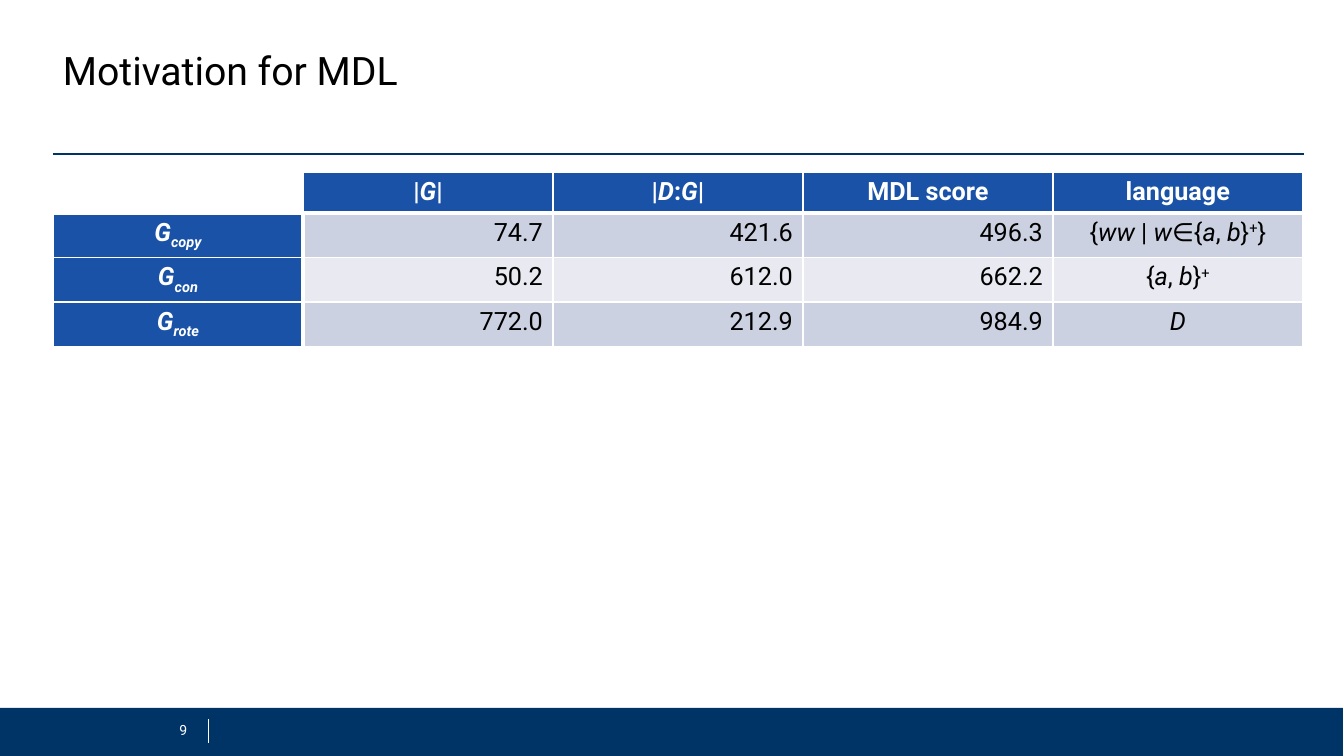
"""Builds the slide "Motivation for MDL" with its table of grammar scores."""
import pptx
import pptx.util
import pptx.dml.color
import pptx.enum.shapes
import pptx.enum.text
import pptx.oxml
import pptx.oxml.ns

PX = 914400 / 100.8
COLORS = {"navy": "003366", "blue": "1952A6", "band": "CCD1E1",
          "pale": "E8E9F1", "white": "FFFFFF", "black": "000000"}
ALIGN = pptx.enum.text.PP_ALIGN
MIDDLE = pptx.enum.text.MSO_ANCHOR.MIDDLE


def px(*lengths):
    return [round(length * PX) for length in lengths]


def write(frame, runs, size=18, color="black", bold=False, align=ALIGN.LEFT, spacing=1.0):
    para = frame.paragraphs[0]
    para.alignment = align
    para.line_spacing = spacing
    for text, style in runs:
        span = para.add_run()
        span.text = text
        span.font.name = "Roboto"
        span.font.size = pptx.util.Pt(size)
        span.font.bold = bold
        span.font.italic = "i" in style
        span.font.color.rgb = pptx.dml.color.RGBColor.from_string(COLORS[color])
        if "sub" in style:
            span.font._element.set("baseline", "-25000")
        if "sup" in style:
            span.font._element.set("baseline", "30000")


deck = pptx.Presentation()
deck.slide_width, deck.slide_height = px(1344, 756)
page = deck.slides.add_slide(deck.slide_layouts[6])

footer = page.shapes.add_shape(pptx.enum.shapes.MSO_SHAPE.RECTANGLE, *px(0, 708, 1343, 48))
footer.shadow.inherit = False
footer.fill.solid()
footer.fill.fore_color.rgb = pptx.dml.color.RGBColor.from_string(COLORS["navy"])
footer.line.fill.background()

for ends, color, width in [((208, 719, 208, 743), "white", 0.25),
                           ((53, 154, 1304, 154), "navy", 1)]:
    rule = page.shapes.add_connector(pptx.enum.shapes.MSO_CONNECTOR.STRAIGHT, *px(*ends))
    rule.line.color.rgb = pptx.dml.color.RGBColor.from_string(COLORS[color])
    rule.line.width = pptx.util.Pt(width)
    rule._element.spPr.append(pptx.oxml.parse_xml(
        f'<a:effectLst {pptx.oxml.ns.nsdecls("a")}/>'))

for place, text, style in [
        ((53, 45, 1251, 55), "Motivation for MDL", {"size": 28, "spacing": 0.9}),
        ((152, 710, 45, 40), "9", {"size": 10, "color": "white", "align": ALIGN.RIGHT})]:
    box = page.shapes.add_textbox(*px(*place))
    box.text_frame.word_wrap = True
    box.text_frame.vertical_anchor = MIDDLE
    write(box.text_frame, [(text, "")], **style)

rows = [
    [[],
     [("|", ""), ("G", "i"), ("|", "")],
     [("|", ""), ("D", "i"), (":", ""), ("G", "i"), ("|", "")],
     [("MDL score", "")],
     [("language", "")]]]
pair = [("{", ""), ("a", "i"), (", ", ""), ("b", "i"), ("}", ""), ("+", "sup")]
words = [("{", ""), ("ww", "i"), (" | ", ""), ("w", "i"), ("∈{", "")] + pair[1:] + [("}", "")]
for name, scores, language in [("copy", ("74.7", "421.6", "496.3"), words),
                               ("con", ("50.2", "612.0", "662.2"), pair),
                               ("rote", ("772.0", "212.9", "984.9"), [("D", "i")])]:
    label = [("G", "i"), (name, "i sub")]
    rows.append([label] + [[(score, "")] for score in scores] + [language])

table = page.shapes.add_table(4, 5, *px(53, 172, 1250, 164)).table
table.first_row = table.horz_banding = False
for column in table.columns:
    column.width = px(250)[0]
for row in table.rows:
    row.height = px(41)[0]

for y, row in enumerate(rows):
    for x, runs in enumerate(row):
        cell = table.cell(y, x)
        heading = y == 0 or x == 0
        borders = {"L": 3 if y and x == 1 else 1, "R": 3 if y and x == 0 else 1,
                   "T": 3 if y == 1 else 1, "B": 3 if y == 0 else 1}
        for side, width in borders.items():
            cell._tc.get_or_add_tcPr().append(pptx.oxml.parse_xml(
                f'<a:ln{side} {pptx.oxml.ns.nsdecls("a")} w="{width * 12700}"><a:solidFill>'
                f'<a:srgbClr val="{COLORS["white"]}"/></a:solidFill></a:ln{side}>'))
        if not runs:
            cell.fill.background()
            continue
        fill = "blue" if heading else "band" if y % 2 else "pale"
        cell.fill.solid()
        cell.fill.fore_color.rgb = pptx.dml.color.RGBColor.from_string(COLORS[fill])
        write(cell.text_frame, runs, color="white" if heading else "black", bold=heading,
              align=ALIGN.CENTER if heading or x == 4 else ALIGN.RIGHT)

deck.save("out.pptx")
